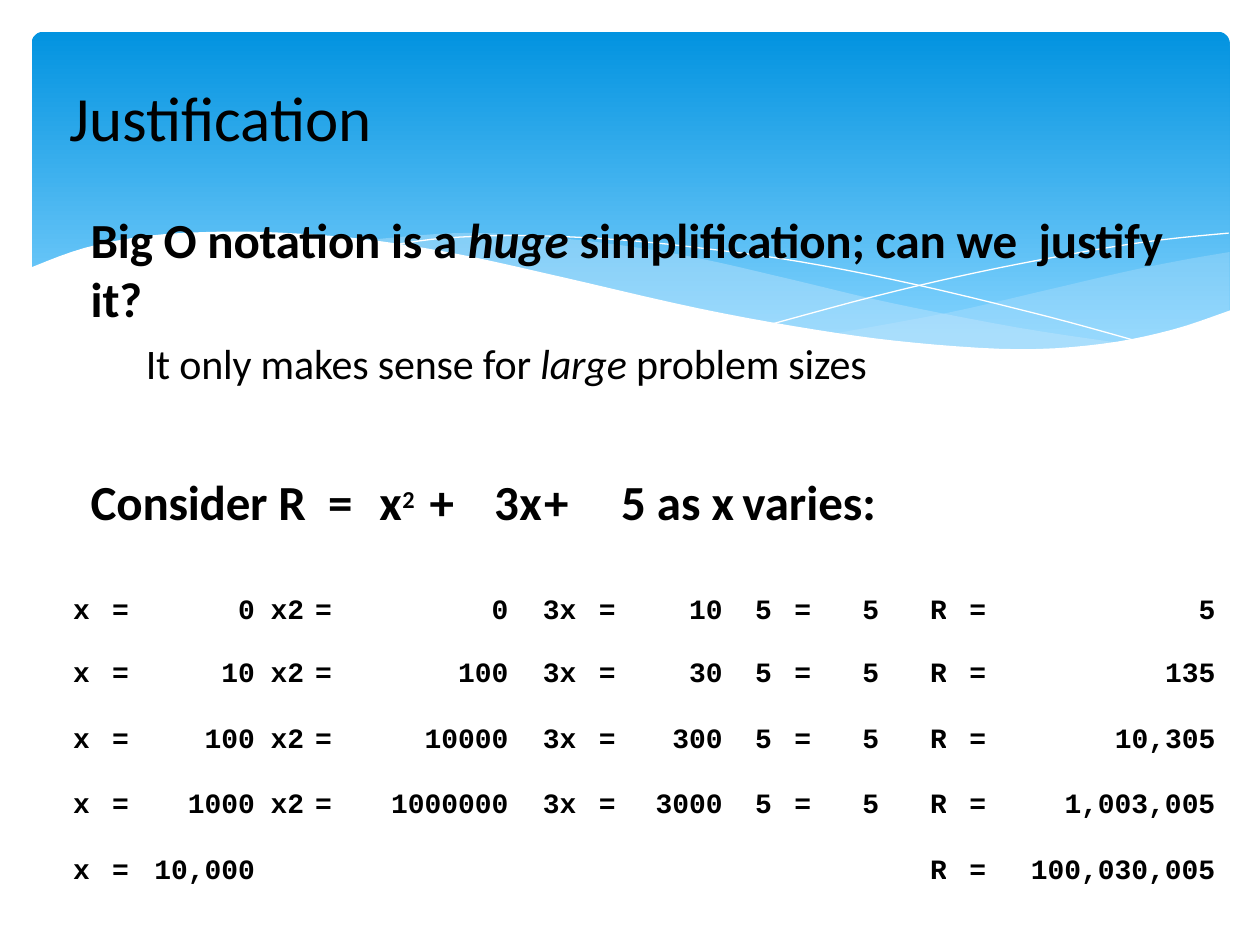
from lxml.etree import SubElement
from pptx import Presentation
from pptx.dml.color import RGBColor
from pptx.enum.shapes import MSO_SHAPE
from pptx.enum.text import MSO_ANCHOR, PP_ALIGN
from pptx.oxml.ns import qn
from pptx.util import Cm, Pt


def tint(code):
    return RGBColor.from_string(code)


def apply(item, form):
    for key, value in form.items():
        setattr(item, key, value)


def curve(points, steps=5):
    ends = [points[0], *points, points[-1]]
    track = [points[0]]
    for a, b, c, d in zip(ends, ends[1:], ends[2:], ends[3:]):
        for step in range(1, steps + 1):
            t = step / steps
            track.append(tuple(
                (2 * q + (r - p) * t + (2 * p - 5 * q + 4 * r - s) * t ** 2
                 + (3 * q - p - 3 * r + s) * t ** 3) / 2
                for p, q, r, s in zip(a, b, c, d)))
    return track


class Deck:
    ink = "000000"
    flush = dict(margin_left=0, margin_right=0, margin_top=0, margin_bottom=0)
    head = dict(name="Calibri", size=Pt(36), bold=False)
    bold = dict(name="Calibri", size=Pt(28), bold=True)
    plain = dict(name="Calibri", size=Pt(24), bold=False)
    code = dict(name="Courier New", size=Pt(16), bold=True)

    def __init__(self):
        self.file = Presentation()
        apply(self.file, dict(slide_width=Cm(25.4), slide_height=Cm(19.05)))
        self.slide = self.file.slides.add_slide(self.file.slide_layouts[5])
        self.shapes = self.slide.shapes

    def panel(self, box, stops):
        shape = self.shapes.add_shape(MSO_SHAPE.ROUNDED_RECTANGLE, *map(Cm, box))
        shape.adjustments[0] = 0.034
        shape.shadow.inherit = False
        shape.line.fill.background()
        shape.fill.gradient()
        shape.fill.gradient_angle = 270
        for stop, (place, code) in zip(shape.fill.gradient_stops, stops):
            stop.position = place
            stop.color.rgb = tint(code)

    def trace(self, points, close):
        spots = [(Cm(x), Cm(y)) for x, y in points]
        pen = self.shapes.build_freeform(*spots[0], scale=1.0)
        pen.add_line_segments(spots[1:], close=close)
        shape = pen.convert_to_shape()
        shape.shadow.inherit = False
        return shape

    def wave(self, points, code, alpha=100):
        shape = self.trace(points, True)
        shape.line.fill.background()
        shape.fill.solid()
        shape.fill.fore_color.rgb = tint(code)
        if alpha < 100:
            color = shape.element.spPr.find(f".//{qn('a:srgbClr')}")
            SubElement(color, qn("a:alpha"), val=str(alpha * 1000))

    def thread(self, points):
        shape = self.trace(points, False)
        shape.fill.background()
        shape.line.color.rgb = tint("FFFFFF")
        shape.line.width = Pt(0)

    def label(self, para, text, form, space=0, base=0):
        run = para.add_run()
        run.text = text
        apply(run.font, form)
        run.font.color.rgb = tint(self.ink)
        for key, value in dict(spc=space * 100, baseline=base * 1000).items():
            if value:
                run._r.get_or_add_rPr().set(key, str(round(value)))

    def title(self, text, box):
        shape = self.shapes.title
        apply(shape, dict(zip(("left", "top", "width", "height"), map(Cm, box))))
        frame = shape.text_frame
        apply(frame, dict.fromkeys(self.flush, Cm(0.13)))
        frame.vertical_anchor = MSO_ANCHOR.MIDDLE
        para = frame.paragraphs[0]
        para.alignment = PP_ALIGN.LEFT
        self.label(para, text, self.head)
        shape.element.getparent().append(shape.element)

    def body(self, box, paras):
        frame = self.shapes.add_textbox(*map(Cm, box)).text_frame
        apply(frame, self.flush | dict(word_wrap=True, margin_top=Cm(0.03)))
        for i, (indent, before, tabs, runs) in enumerate(paras):
            para = frame.add_paragraph() if i else frame.paragraphs[0]
            para.space_before = Pt(before)
            props = para._p.get_or_add_pPr()
            props.set("marL", str(Cm(indent)))
            if tabs:
                stops = SubElement(props, qn("a:tabLst"))
                for tab in tabs:
                    SubElement(stops, qn("a:tab"), pos=str(Cm(tab)), algn="l")
            for run in runs:
                self.label(para, *run)

    def table(self, box, widths, heights, leads, rows):
        grid = self.shapes.add_table(len(rows), len(widths), *map(Cm, box)).table
        apply(grid, dict(first_row=False, horz_banding=False))
        for column, width in zip(grid.columns, widths):
            column.width = Cm(width)
        for r, row in enumerate(rows):
            grid.rows[r].height = Cm(heights[r])
            for c, text in enumerate(row):
                cell = grid.cell(r, c)
                cell.fill.background()
                apply(cell, self.flush)
                if text:
                    para = cell.text_frame.paragraphs[0]
                    para.alignment = PP_ALIGN.CENTER if c == 4 else PP_ALIGN.RIGHT
                    para.line_spacing = Pt(leads[r])
                    self.label(para, text, self.code)


def main():
    deck = Deck()
    deck.panel((0.64, 0.64, 24.15, 6.86), ((0, "0293E0"), (0.9, "83D3FE")))

    deck.wave(
        curve([(24.79, 5.08), (23.75, 5.26), (22.63, 5.49), (21.13, 5.84),
               (19.13, 6.3), (16.79, 6.73)])
        + curve([(16.79, 6.73), (17.91, 6.88), (19.23, 7.01), (20.68, 7.06),
                 (22.15, 6.96), (23.39, 6.73), (24.79, 6.27)]),
        "C6E7FC", 29)
    deck.wave(
        curve([(22.68, 6.93), (20.5, 6.6), (17.93, 6.1), (15.98, 5.64), (14.1, 5.21),
               (12.42, 4.93), (10.67, 4.75), (9.17, 4.7), (7.26, 4.85)])
        + curve([(7.26, 4.85), (9.19, 5.16), (11.4, 5.64), (13.46, 6.1), (15.27, 6.48),
                 (17.27, 6.81), (19, 7.01), (20.78, 7.06), (22.68, 6.93)]),
        "C6E7FC", 40)
    deck.thread(curve([
        (7.85, 4.95), (8.97, 4.8), (10.57, 4.75), (12.42, 4.83), (14.12, 5),
        (16.15, 5.28), (18.47, 5.74), (21.11, 6.38), (23.04, 6.91)]))
    deck.thread(curve([
        (15.57, 6.53), (17.65, 5.97), (19.71, 5.49), (22, 5.05), (23.47, 4.83),
        (24.77, 4.7)]))
    deck.wave(
        curve([(24.82, 6.25), (23.62, 6.65), (22.23, 6.93), (20.55, 7.04), (18.44, 6.91),
               (16.46, 6.65), (14.1, 6.22), (11.35, 5.59), (9.27, 5.13), (7.42, 4.83),
               (5.84, 4.7), (4.5, 4.67), (3.02, 4.75), (1.7, 5), (0.58, 5.41)])
        + [(0.58, 8.36), (24.82, 8.36)],
        "FFFFFF")

    bold, plain = deck.bold, deck.plain
    slant = dict(italic=True)
    deck.body((1.8, 4.19, 21.97, 6.55), [
        (0.03, 1, (), [
            ("Big O notation is a ", bold, -0.1),
            ("huge ", bold | slant, -0.1),
            ("simplification; can we  justify it?", bold, -0.1)]),
        (1.14, 6, (), [
            ("It only makes sense for ", plain, -0.1),
            ("large ", plain | slant, -0.1),
            ("problem sizes", plain, -0.1)]),
        (0.03, 48, (5.82, 6.83, 8.13, 9.14, 10.69, 11.71), [
            ("Consider ", bold, -0.1),
            ("R  =\t", bold),
            ("x", bold, 0.3),
            ("2\t", bold | dict(size=Pt(24)), 0.5, 30),
            ("+\t", bold),
            ("3x\t", bold, 0.3),
            ("+\t5 as ", bold),
            ("x ", bold, -1.6),
            ("varies:", bold)]),
    ])

    cases = [
        ("0", "0", "10", "5", "5"),
        ("10", "100", "30", "5", "135"),
        ("100", "10000", "300", "5", "10,305"),
        ("1000", "1000000", "3000", "5", "1,003,005"),
        ("10,000", "", "", "", "100,030,005"),
    ]
    names = ("x", "x2", "3x", "5", "R")
    rows = [[text for name, value in zip(names, case)
             for text in ((name, "=", value) if value else ("", "", ""))]
            for case in cases]
    deck.table(
        (1.12, 12.07, 23.37, 6.38),
        (0.69, 0.79, 2.54, 0.99, 0.79, 3.33, 1.37, 0.79, 2.16, 0.99, 0.79, 1.37,
         1.37, 0.79, 4.62),
        (1.19, 1.32, 1.32, 1.32, 1.19), (16.5, 19.1, 19, 19.1, 19), rows)

    deck.title("Justification", (1.27, 0.76, 22.86, 3.18))
    deck.file.save("out.pptx")


if __name__ == "__main__":
    main()
